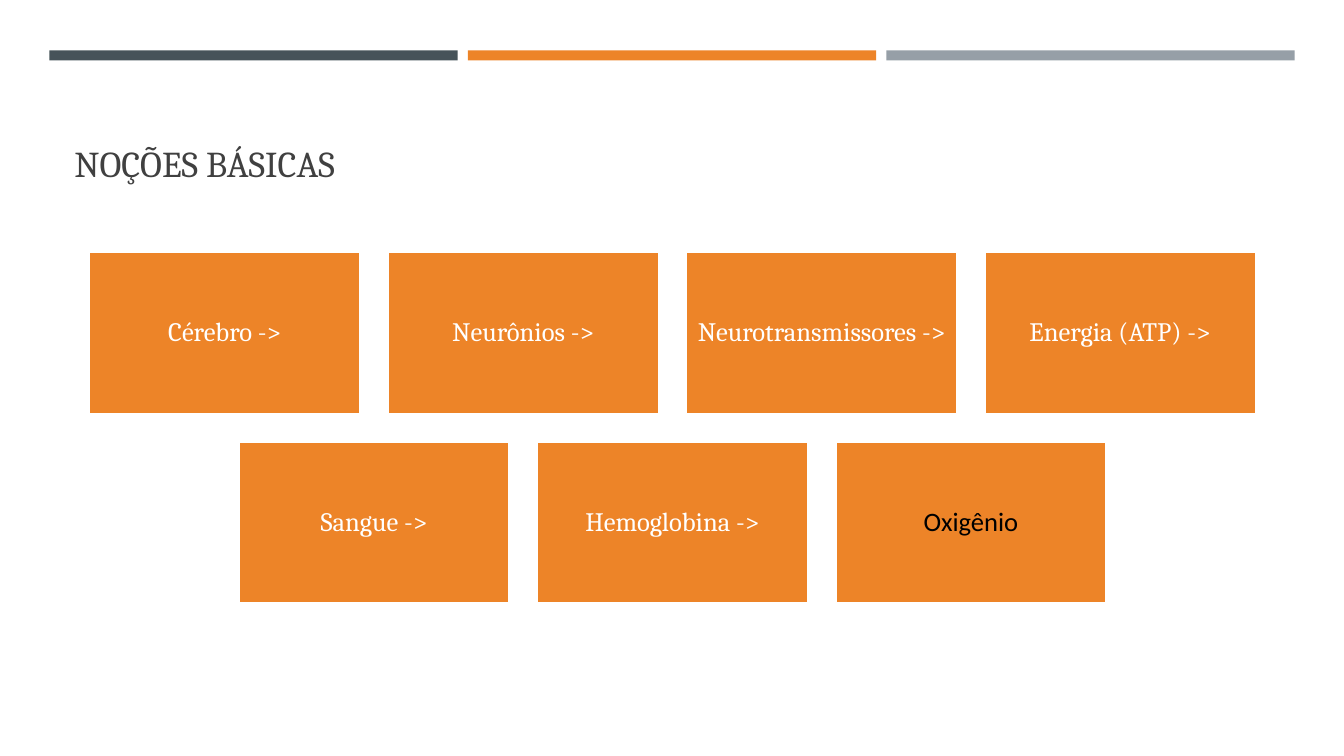
import pptx
import pptx.util
import pptx.dml.color
import pptx.enum.shapes
import pptx.enum.text

Inches = pptx.util.Inches
Pt = pptx.util.Pt
Anchor = pptx.enum.text.MSO_ANCHOR


def color(code):
    return pptx.dml.color.RGBColor.from_string(code)


def block(left, top, width, height, fill):
    shape = slide.shapes.add_shape(
        pptx.enum.shapes.MSO_SHAPE.RECTANGLE,
        Inches(left), Inches(top), Inches(width), Inches(height))
    shape.shadow.inherit = False
    shape.fill.solid()
    shape.fill.fore_color.rgb = color(fill)
    shape.line.fill.background()
    return shape


deck = pptx.Presentation()
deck.slide_width = Inches(13.33)
deck.slide_height = Inches(7.5)
slide = deck.slides.add_slide(deck.slide_layouts[6])

# Top bars
for i, fill in enumerate(["465359", "ED8428", "969FA7"]):
    block(0.49 + i * 4.15, 0.5, 4.05, 0.1, fill)

# Title
title = slide.shapes.add_textbox(
    Inches(0.64), Inches(0.8), Inches(12.06), Inches(1.08))
frame = title.text_frame
frame.word_wrap = True
frame.vertical_anchor = Anchor.BOTTOM
run = frame.paragraphs[0].add_run()
run.text = "NOÇÕES BÁSICAS"
run.font.name = "Cambria"
run.font.size = Pt(26)
run.font.color.rgb = color("404040")

# Two centred rows of boxes
wide, high, gap = 2.69, 1.61, 0.27
rows = [
    ["Cérebro ->", "Neurônios ->", "Neurotransmissores ->", "Energia (ATP) ->"],
    ["Sangue ->", "Hemoglobina ->", "Oxigênio"],
]
for r, row in enumerate(rows):
    start = 6.67 - (len(row) * (wide + gap) - gap) / 2
    for c, label in enumerate(row):
        box = block(start + c * (wide + gap), 2.5 + r * (high + gap),
                    wide, high, "ED8428")
        box.line.color.rgb = color("FFFFFF")
        box.line.width = Pt(1.75)
        frame = box.text_frame
        frame.word_wrap = True
        frame.vertical_anchor = Anchor.MIDDLE
        frame.margin_left = frame.margin_right = Inches(0.08)
        frame.margin_top = frame.margin_bottom = Inches(0.08)
        para = frame.paragraphs[0]
        para.alignment = pptx.enum.text.PP_ALIGN.CENTER
        para.line_spacing = 0.9
        last = label == "Oxigênio"
        run = para.add_run()
        run.text = label
        run.font.size = Pt(19)
        run.font.name = "Calibri" if last else "Cambria"
        run.font.color.rgb = color("000000" if last else "FFFFFF")

deck.save("out.pptx")
